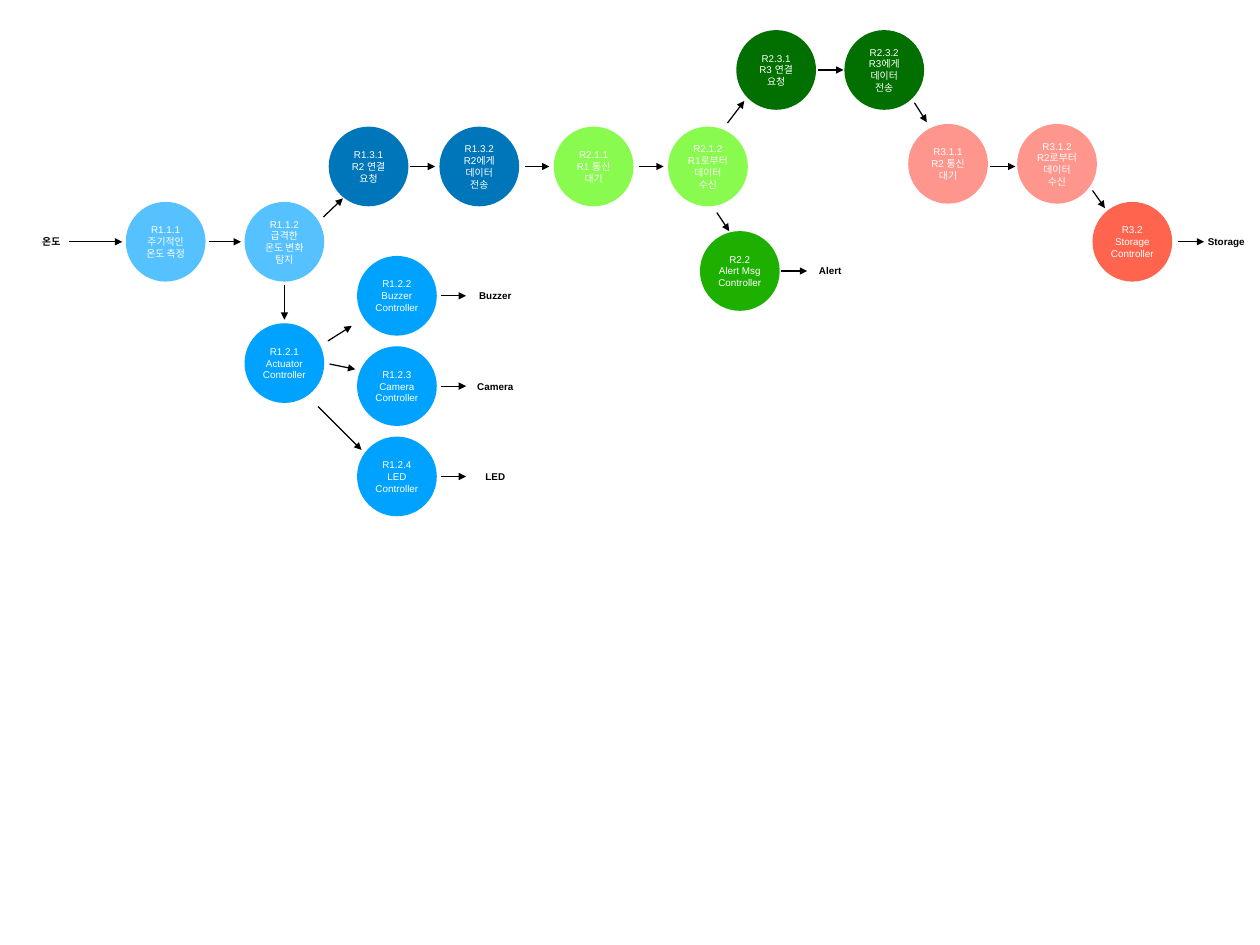
from lxml.etree import SubElement
from pptx import Presentation
from pptx.dml.color import RGBColor
from pptx.enum.shapes import MSO_CONNECTOR as Connector, MSO_SHAPE as Shape
from pptx.enum.text import MSO_ANCHOR as Anchor, MSO_AUTO_SIZE as AutoSize, PP_ALIGN as Align
from pptx.oxml.ns import qn
from pptx.util import Inches, Pt

BLACK = RGBColor(0x00, 0x00, 0x00)
WHITE = RGBColor(0xFF, 0xFF, 0xFF)
SKY = RGBColor(0x56, 0xC1, 0xFF)
BLUE = RGBColor(0x00, 0xA2, 0xFF)
NAVY = RGBColor(0x00, 0x76, 0xBA)
LIME = RGBColor(0x89, 0xFA, 0x4E)
GREEN = RGBColor(0x1E, 0xB0, 0x01)
FOREST = RGBColor(0x02, 0x70, 0x01)
PINK = RGBColor(0xFF, 0x96, 0x8D)
CORAL = RGBColor(0xFF, 0x64, 0x4E)

DIAMETER = 0.9
INSET = 0.06
LABEL_HEIGHT = 0.25
SENSOR_Y = 2.73
LINK_Y = 1.88
FORWARD_Y = 0.79
ALERT_Y = 3.06
DEVICE_X = 4.03
DEVICE_TOP = 2.89
DEVICE_PITCH = 1.02
DEVICES = [
    ("R1.2.2", "Buzzer", 0.49),
    ("R1.2.3", "Camera", 0.54),
    ("R1.2.4", "LED", 0.35),
]

PROCESSES = [
    (1.42, 2.28, SKY, ["R1.1.1", "주기적인", "온도 측정"]),
    (2.76, 2.28, SKY, ["R1.1.2", "급격한 온도 변화 탐지"]),
    (2.76, 3.65, BLUE, ["R1.2.1", "Actuator Controller"]),
    (3.71, 1.43, NAVY, ["R1.3.1", "R2 연결 요청"]),
    (4.96, 1.43, NAVY, ["R1.3.2", "R2에게 데이터 전송"]),
    (6.25, 1.43, LIME, ["R2.1.1", "R1 통신 대기"]),
    (7.54, 1.43, LIME, ["R2.1.2", "R1로부터", "데이터 수신"]),
    (7.9, 2.61, GREEN, ["R2.2", "Alert Msg Controller"]),
    (8.31, 0.34, FOREST, ["R2.3.1", "R3 연결 요청"]),
    (9.53, 0.34, FOREST, ["R2.3.2", "R3에게 데이터 전송"]),
    (10.25, 1.4, PINK, ["R3.1.1", "R2 통신 대기"]),
    (11.48, 1.4, PINK, ["R3.1.2", "R2로부터", "데이터 수신"]),
    (12.33, 2.28, CORAL, ["R3.2", "Storage Controller"]),
]

LABELS = [
    (0.58, SENSOR_Y, 0.44, "온도"),
    (9.37, ALERT_Y, 0.38, "Alert"),
    (13.84, SENSOR_Y, 0.54, "Storage"),
]

FLOWS = [
    (0.78, SENSOR_Y, 1.38, SENSOR_Y),
    (2.36, SENSOR_Y, 2.72, SENSOR_Y),
    (13.3, SENSOR_Y, 13.59, SENSOR_Y),
    (4.63, LINK_Y, 4.91, LINK_Y),
    (5.92, LINK_Y, 6.2, LINK_Y),
    (7.21, LINK_Y, 7.49, LINK_Y),
    (11.17, LINK_Y, 11.46, LINK_Y),
    (9.23, FORWARD_Y, 9.52, FORWARD_Y),
    (8.82, ALERT_Y, 9.11, ALERT_Y),
    (3.21, 3.22, 3.21, 3.61),
    (3.65, 2.45, 3.87, 2.24),
    (8.09, 2.4, 8.23, 2.61),
    (8.21, 1.39, 8.4, 1.14),
    (10.32, 1.16, 10.46, 1.38),
    (12.33, 2.15, 12.47, 2.35),
    (3.7, 3.85, 3.97, 3.68),
    (3.72, 4.11, 4.01, 4.17),
    (3.59, 4.59, 4.08, 5.08),
]


def write_lines(shape, lines, color, bold=False):
    """Fill a shape with centred paragraphs."""
    frame = shape.text_frame
    frame.vertical_anchor = Anchor.MIDDLE
    frame.margin_left = frame.margin_right = Inches(INSET)
    frame.margin_top = frame.margin_bottom = Inches(INSET)
    for index, line in enumerate(lines):
        paragraph = frame.add_paragraph() if index else frame.paragraphs[0]
        paragraph.alignment = Align.CENTER
        run = paragraph.add_run()
        run.text = line
        run.font.name = "Arial"
        run.font.size = Pt(8)
        run.font.bold = bold
        run.font.color.rgb = color


def add_process(slide, left, top, color, lines):
    """Draw one process circle."""
    circle = slide.shapes.add_shape(
        Shape.OVAL, Inches(left), Inches(top), Inches(DIAMETER), Inches(DIAMETER))
    circle.shadow.inherit = False
    circle.fill.solid()
    circle.fill.fore_color.rgb = color
    circle.line.fill.background()
    write_lines(circle, lines, WHITE)
    circle.text_frame.word_wrap = True


def add_label(slide, center_x, center_y, width, text):
    """Place a bold label around a centre point."""
    box = slide.shapes.add_textbox(
        Inches(center_x - width / 2), Inches(center_y - LABEL_HEIGHT / 2),
        Inches(width), Inches(LABEL_HEIGHT))
    box.text_frame.word_wrap = False
    box.text_frame.auto_size = AutoSize.SHAPE_TO_FIT_TEXT
    write_lines(box, [text], BLACK, bold=True)


def add_flow(slide, *ends):
    """Draw an arrow between two points."""
    arrow = slide.shapes.add_connector(Connector.STRAIGHT, *map(Inches, ends))
    arrow.line.color.rgb = BLACK
    arrow.line.width = Pt(1)
    SubElement(arrow.line._get_or_add_ln(), qn("a:tailEnd"), type="triangle")
    SubElement(arrow._element.spPr, qn("a:effectLst"))


def add_device(slide, row, number, device, label_width):
    """Draw a device controller with its output arrow and label."""
    top = DEVICE_TOP + row * DEVICE_PITCH
    middle = top + DIAMETER / 2
    add_process(slide, DEVICE_X, top, BLUE, [number, device, "Controller"])
    add_flow(slide, 4.98, middle, 5.26, middle)
    add_label(slide, 5.59, middle, label_width, device)


def main():
    """Build the data flow diagram."""
    presentation = Presentation()
    presentation.slide_width = Inches(14.22)
    presentation.slide_height = Inches(10.67)
    slide = presentation.slides.add_slide(presentation.slide_layouts[6])
    for process in PROCESSES:
        add_process(slide, *process)
    for row, device in enumerate(DEVICES):
        add_device(slide, row, *device)
    for label in LABELS:
        add_label(slide, *label)
    for flow in FLOWS:
        add_flow(slide, *flow)
    presentation.save("out.pptx")


if __name__ == "__main__":
    main()
